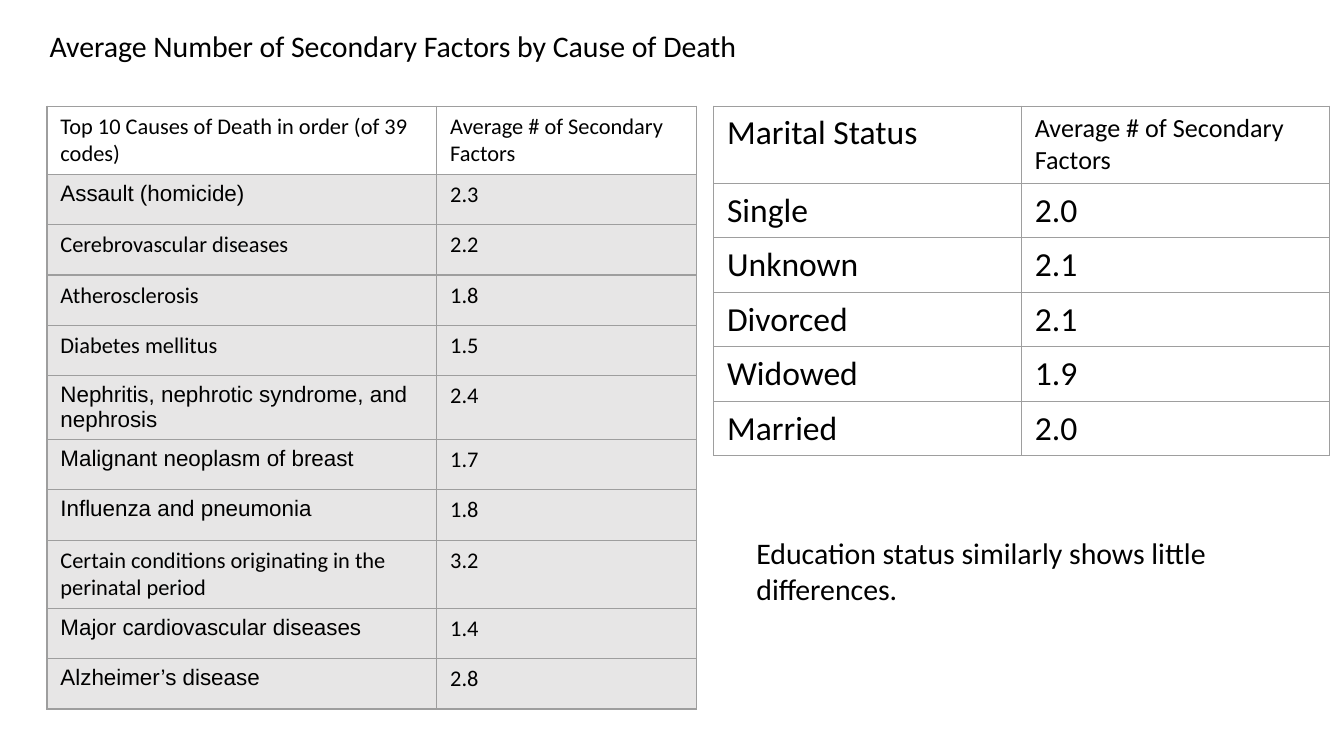
import pptx
import pptx.util
import pptx.dml.color
import pptx.enum.text
import lxml.etree

Inches = pptx.util.Inches
WIDE = 10
INK, LINE, GREY = "000000", "9E9E9E", "E7E6E6"
BODY, ALT = "Calibri", "Arial"
HEAD = "Average # of Secondary Factors"

CAUSES = [
    ("Top 10 Causes of Death in order (of 39 codes)", HEAD),
    ("Assault (homicide)", "2.3"),
    ("Cerebrovascular diseases", "2.2"),
    ("Atherosclerosis", "1.8"),
    ("Diabetes mellitus", "1.5"),
    ("Nephritis, nephrotic syndrome, and nephrosis", "2.4"),
    ("Malignant neoplasm of breast", "1.7"),
    ("Influenza and pneumonia", "1.8"),
    ("Certain conditions originating in the perinatal period", "3.2"),
    ("Major cardiovascular diseases", "1.4"),
    ("Alzheimer’s disease", "2.8"),
]
IN_ALT = {CAUSES[i][0] for i in (1, 5, 6, 7, 9, 10)}
STATUS = [
    ("Marital Status", HEAD),
    ("Single", "2.0"),
    ("Unknown", "2.1"),
    ("Divorced", "2.1"),
    ("Widowed", "1.9"),
    ("Married", "2.0"),
]
NOTES = [
    ("Average Number of Secondary Factors by Cause of Death", (0.27, 0.16, 9.45, 0.37)),
    ("Education status similarly shows little differences.", (5.53, 3.93, 3.67, 0.64)),
]


def color(code):
    return pptx.dml.color.RGBColor.from_string(code)


def write(frame, text, size=16, font=BODY, ink=INK):
    run = frame.paragraphs[0].add_run()
    run.text = text
    run.font.size = pptx.util.Pt(size)
    run.font.name = font
    run.font.color.rgb = color(ink)


def border(cell):
    props = cell._tc.get_or_add_tcPr()
    space = "http://schemas.openxmlformats.org/drawingml/2006/main"
    for i, side in enumerate("LRTB"):
        line = lxml.etree.Element(f"{{{space}}}ln{side}", w=str(pptx.util.Pt(0.75)))
        fill = lxml.etree.SubElement(line, f"{{{space}}}solidFill")
        lxml.etree.SubElement(fill, f"{{{space}}}srgbClr", val=LINE)
        props.insert(i, line)


def grid(slide, rows, left, cols, high, top_row, row, size, head_size, fill=None):
    box = [Inches(v) for v in (left, 0.79, sum(cols), high)]
    table = slide.shapes.add_table(len(rows), len(cols), *box).table
    table.first_row = table.horz_banding = False
    for col, wide in zip(table.columns, cols):
        col.width = Inches(wide)
    for r, texts in enumerate(rows):
        table.rows[r].height = Inches(row if r else top_row)
        for c, text in enumerate(texts):
            cell = table.cell(r, c)
            if fill and r:
                cell.fill.solid()
                cell.fill.fore_color.rgb = color(fill)
            else:
                cell.fill.background()
            border(cell)
            write(cell.text_frame, text,
                  size=head_size if text == HEAD else size,
                  font=ALT if text in IN_ALT else BODY)


def main():
    deck = pptx.Presentation()
    deck.slide_width, deck.slide_height = Inches(WIDE), Inches(WIDE * 9 / 16)
    slide = deck.slides.add_slide(deck.slide_layouts[6])
    grid(slide, CAUSES, 0.35, (2.9, 1.93), 4.51, 3 / 8, 3 / 8, 12, 12, fill=GREY)
    grid(slide, STATUS, 5.31, (2.29, 2.29), 2.58, 0.55, 0.4, 18, 14)
    for text, place in NOTES:
        frame = slide.shapes.add_textbox(*map(Inches, place)).text_frame
        frame.word_wrap = True
        frame.auto_size = pptx.enum.text.MSO_AUTO_SIZE.SHAPE_TO_FIT_TEXT
        write(frame, text)
    deck.save("out.pptx")


if __name__ == "__main__":
    main()
